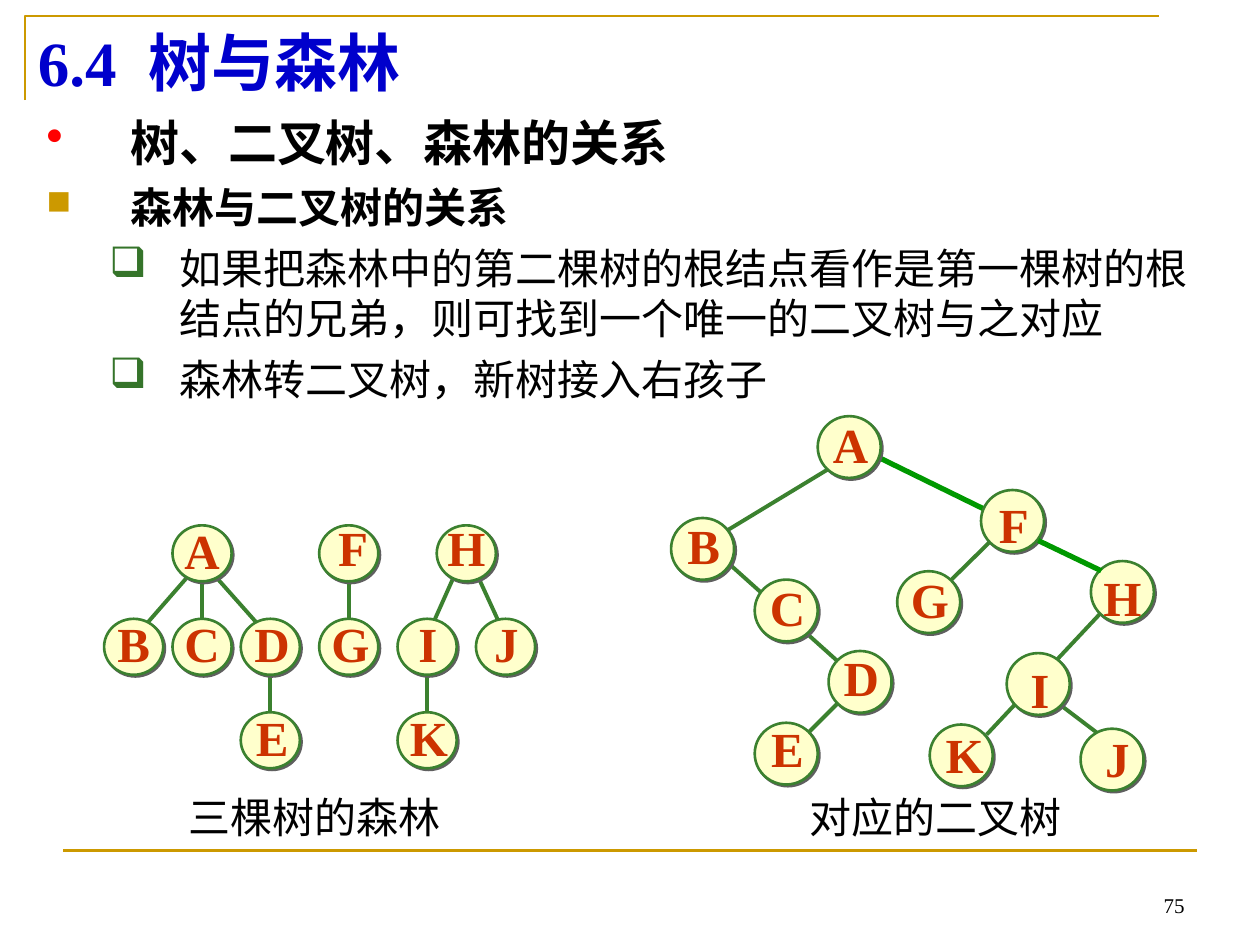
from lxml import etree
from pptx import Presentation
from pptx.dml.color import RGBColor
from pptx.enum import shapes, text
from pptx.oxml import ns
from pptx.util import Pt

COLORS = {
    "rule": "CC9900", "title": "0000CC", "ink": "000000", "dot": "FF0000",
    "box": "35742A", "node": "FFFFCC", "edge": "3B812F", "new_edge": "009900",
    "label": "CC3300", "shadow": "5F5F5F",
}
SERIF, SANS, CJK = "Times New Roman", "Noto Sans CJK SC", "Cabin"

# Nodes: letter, left, top, label shift right, label shift down
FOREST_SIZE = (33.8, 32)
FOREST_NODES = [
    ("A", 98.6, 300.2, 0, -2), ("F", 182.4, 300.2, 2.5, -3.5),
    ("H", 249.6, 300.2, 0, -3.5),
    ("B", 59.5, 353.6, 0, -2), ("C", 98.6, 353.6, 0, -2),
    ("D", 137.6, 353.6, 1, -2), ("G", 182.4, 353.6, 1, -2),
    ("I", 227.2, 353.6, 0.5, -2), ("J", 272, 353.6, 0.5, -2),
    ("E", 137.6, 407, 1, -2), ("K", 227.2, 407, 1, -2),
]
FOREST_EDGES = [
    (272, 327, 289, 364), (260.5, 327, 244, 364),
    (121, 327, 149, 358.5), (109.5, 327, 82, 358.5),
    (244, 380, 244, 412), (154.5, 380, 154.5, 412),
    (199.3, 327, 199.3, 358.5), (115.4, 327, 115.4, 358.5),
]
BINARY_SIZE = (36, 35.3)
BINARY_NODES = [
    ("A", 467.3, 237.8, 0.7, -2), ("B", 383.5, 296, 0.7, -2),
    ("C", 431.3, 331.2, 0.7, -2), ("D", 473.5, 372, 0.7, -3),
    ("E", 431.3, 413, 0.7, -3), ("F", 560.6, 280, 0.7, 2),
    ("G", 512.7, 326.4, 0.7, -2), ("H", 623.4, 320.6, 0, 3),
    ("I", 575.3, 373.2, 1, 3), ("K", 531.3, 414, 2, -0.7),
    ("J", 617.5, 416.4, 3, -0.7),
]
BINARY_EDGES = [
    (485.3, 395.3, 455.8, 424.8), (407.5, 314, 485.3, 383.8),
    (473.8, 267.8, 407.5, 308), (605.5, 402.5, 635.8, 425.5),
    (629.3, 350, 563.8, 419.8), (572.4, 303, 536.4, 338.4),
]
ROOT_EDGES_BELOW = [(503.3, 262, 563.8, 291.6)]
ROOT_EDGES_ABOVE = [(593.3, 308.9, 629.3, 326.2)]


def rgb(name):
    return RGBColor.from_string(COLORS[name])


def add_xml(parent, tag, **attrs):
    return etree.SubElement(parent, ns.qn(tag), attrs)


def set_effects(shape, shadowed=False):
    """Drop the theme shadow; optionally put a small hard one in its place."""
    effects = add_xml(shape._element.spPr, "a:effectLst")
    if shadowed:
        shadow = add_xml(effects, "a:outerShdw", dist="17780", dir="2700000",
                         algn="ctr", rotWithShape="0")
        add_xml(shadow, "a:srgbClr", val=COLORS["shadow"])


def add_run(p, content, size, color="ink", font=SERIF, bold=False, spacing=None):
    r = p.add_run()
    r.text = content
    f = r.font
    f.size, f.bold, f.name = Pt(size), bold, font
    f.color.rgb = rgb(color)
    add_xml(r._r.rPr, "a:ea", typeface=CJK)
    if spacing:
        r._r.rPr.set("spc", str(spacing))


def add_text(s, box, content, size, align=text.PP_ALIGN.LEFT,
             anchor=text.MSO_ANCHOR.TOP, wrap=True, **run_format):
    sp = s.shapes.add_textbox(*map(Pt, box))
    tf = sp.text_frame
    tf.word_wrap, tf.vertical_anchor = wrap, anchor
    p = tf.paragraphs[0]
    p.alignment = align
    add_run(p, content, size, **run_format)
    return sp


def add_line(s, ends, color, width):
    c = s.shapes.add_connector(shapes.MSO_CONNECTOR.STRAIGHT, *map(Pt, ends))
    c.line.color.rgb, c.line.width = rgb(color), Pt(width)
    set_effects(c)


def add_edges(s, edges, color="edge", width=2.25):
    for ends in edges:
        add_line(s, ends, color, width)


def add_nodes(s, nodes, size):
    width, height = size
    label_w, label_h = 36, 41
    for _, left, top, _, _ in nodes:
        sp = s.shapes.add_shape(shapes.MSO_SHAPE.OVAL,
                                *map(Pt, (left, top, width, height)))
        sp.fill.solid()
        sp.fill.fore_color.rgb = rgb("node")
        sp.line.color.rgb, sp.line.width = rgb("edge"), Pt(1.5)
        set_effects(sp, shadowed=True)
    for letter, left, top, dx, dy in nodes:
        box = (left + (width - label_w) / 2 + dx,
               top + (height - label_h) / 2 + dy, label_w, label_h)
        add_text(s, box, letter, 28, align=text.PP_ALIGN.CENTER,
                 anchor=text.MSO_ANCHOR.MIDDLE, wrap=False,
                 color="label", bold=True)


def add_title(s):
    sp = s.shapes.title
    sp.left, sp.top, sp.width, sp.height = map(Pt, (14.4, 9.4, 648, 51))
    tf = sp.text_frame
    tf.vertical_anchor = text.MSO_ANCHOR.MIDDLE
    p = tf.paragraphs[0]
    p.alignment = text.PP_ALIGN.LEFT
    # The widened space sets the number apart from the heading
    for part, spacing in (("6.4", None), (" ", 900), ("树与森林", None)):
        add_run(p, part, 36, color="title", bold=True, spacing=spacing)


def add_frame(s):
    """Corner rule around the title and rule above the footer."""
    builder = s.shapes.build_freeform(Pt(14.4), Pt(57.2))
    builder.add_line_segments([(Pt(14.4), Pt(9.2)), (Pt(662.4), Pt(9.2))],
                              close=False)
    corner = builder.convert_to_shape()
    corner.fill.background()
    corner.line.color.rgb, corner.line.width = rgb("rule"), Pt(1.5)
    set_effects(corner)
    add_line(s, (36, 486, 684, 486), "rule", 1.5)


def set_bullet(p, char, color, percent, margin, indent):
    pPr = p._p.get_or_add_pPr()
    pPr.set("marL", str(Pt(margin)))
    pPr.set("indent", str(Pt(-indent)))
    add_xml(add_xml(pPr, "a:buClr"), "a:srgbClr", val=COLORS[color])
    add_xml(pPr, "a:buSzPct", val=str(percent * 1000))
    add_xml(pPr, "a:buChar", char=char)


def add_body(s):
    top = (48, 48)
    sub = (76.3, 40.3)
    items = [
        ("树、二叉树、森林的关系", 28, True, ("•", "dot", 100, *top)),
        ("森林与二叉树的关系", 24, True, ("■", "rule", 80, *top)),
        ("如果把森林中的第二棵树的根结点看作是第一棵树的根结点的兄弟，"
         "则可找到一个唯一的二叉树与之对应", 24, False, ("❑", "box", 100, *sub)),
        ("森林转二叉树，新树接入右孩子", 24, False, ("❑", "box", 100, *sub)),
    ]
    tf = s.shapes.add_textbox(*map(Pt, (19.4, 60.5, 686.2, 306))).text_frame
    tf.word_wrap = True
    for i, (content, size, bold, bullet) in enumerate(items):
        p = tf.add_paragraph() if i else tf.paragraphs[0]
        p.space_before = Pt(6 if i else 0)
        set_bullet(p, *bullet)
        add_run(p, content, size, font=SANS, bold=bold)


def main():
    prs = Presentation()
    prs.slide_width, prs.slide_height = Pt(720), Pt(540)
    s = prs.slides.add_slide(prs.slide_layouts[5])
    add_frame(s)
    add_title(s)
    add_body(s)
    add_text(s, (516, 492, 168, 36), "75", 12, align=text.PP_ALIGN.RIGHT,
             anchor=text.MSO_ANCHOR.BOTTOM)
    add_text(s, (89.5, 448.5, 180, 36), "三棵树的森林", 24,
             align=text.PP_ALIGN.CENTER, font=CJK)
    add_text(s, (455.5, 448.5, 168, 36), "对应的二叉树", 24, font=CJK)
    add_edges(s, FOREST_EDGES)
    add_nodes(s, FOREST_NODES, FOREST_SIZE)
    add_edges(s, ROOT_EDGES_BELOW, "new_edge", 3)
    add_edges(s, BINARY_EDGES)
    add_nodes(s, BINARY_NODES, BINARY_SIZE)
    add_edges(s, ROOT_EDGES_ABOVE, "new_edge", 3)
    prs.save("out.pptx")


if __name__ == "__main__":
    main()
